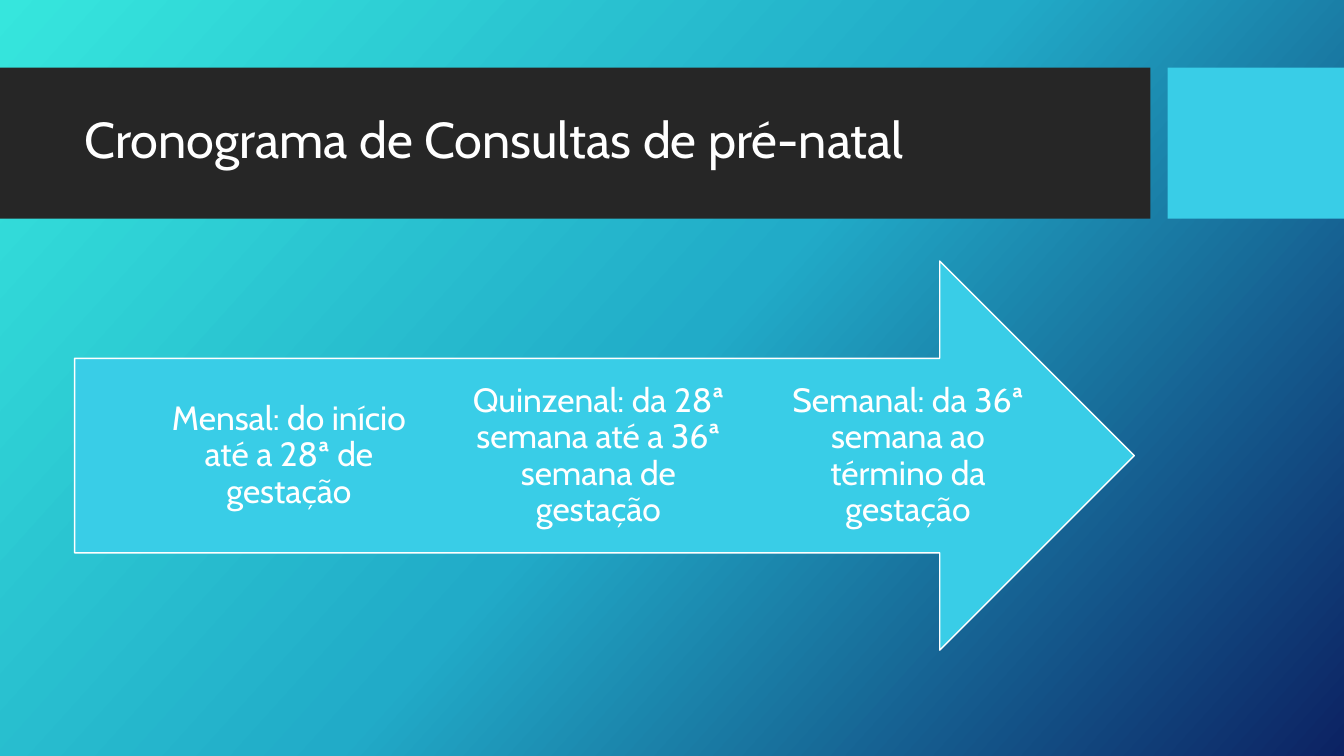
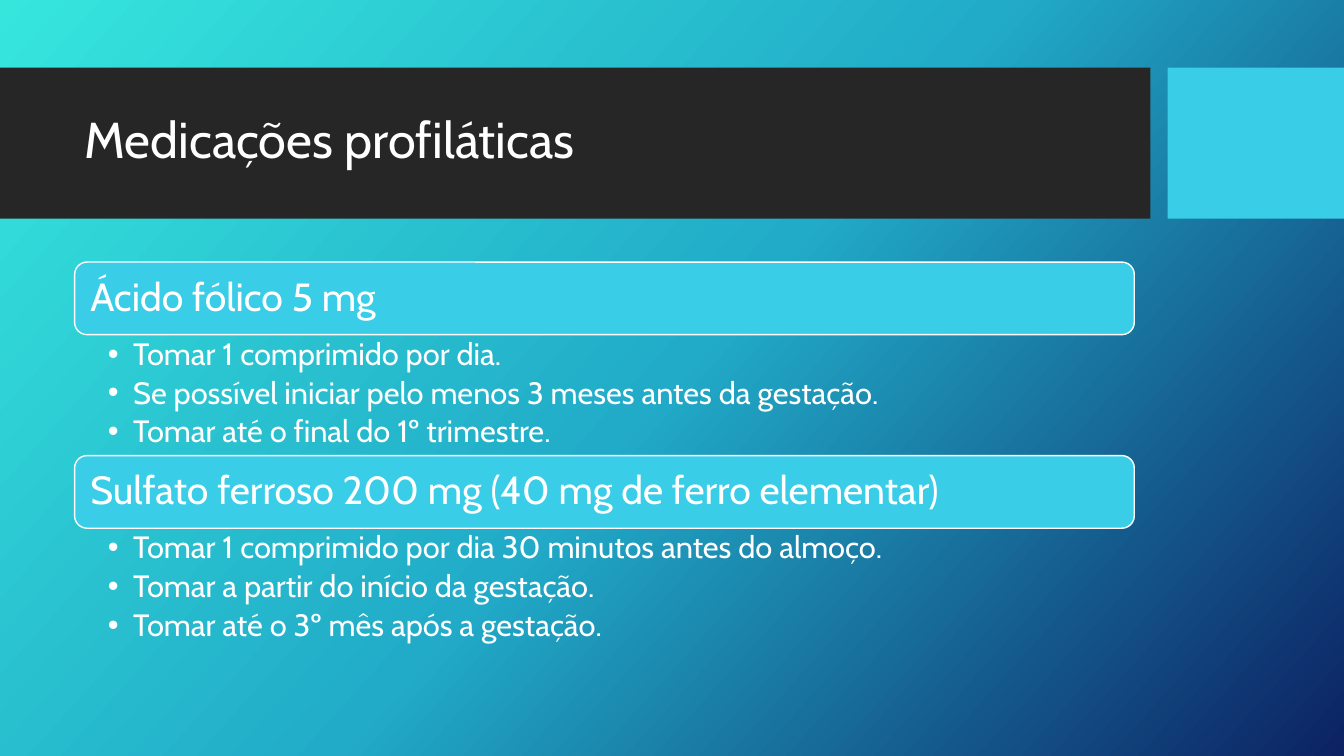
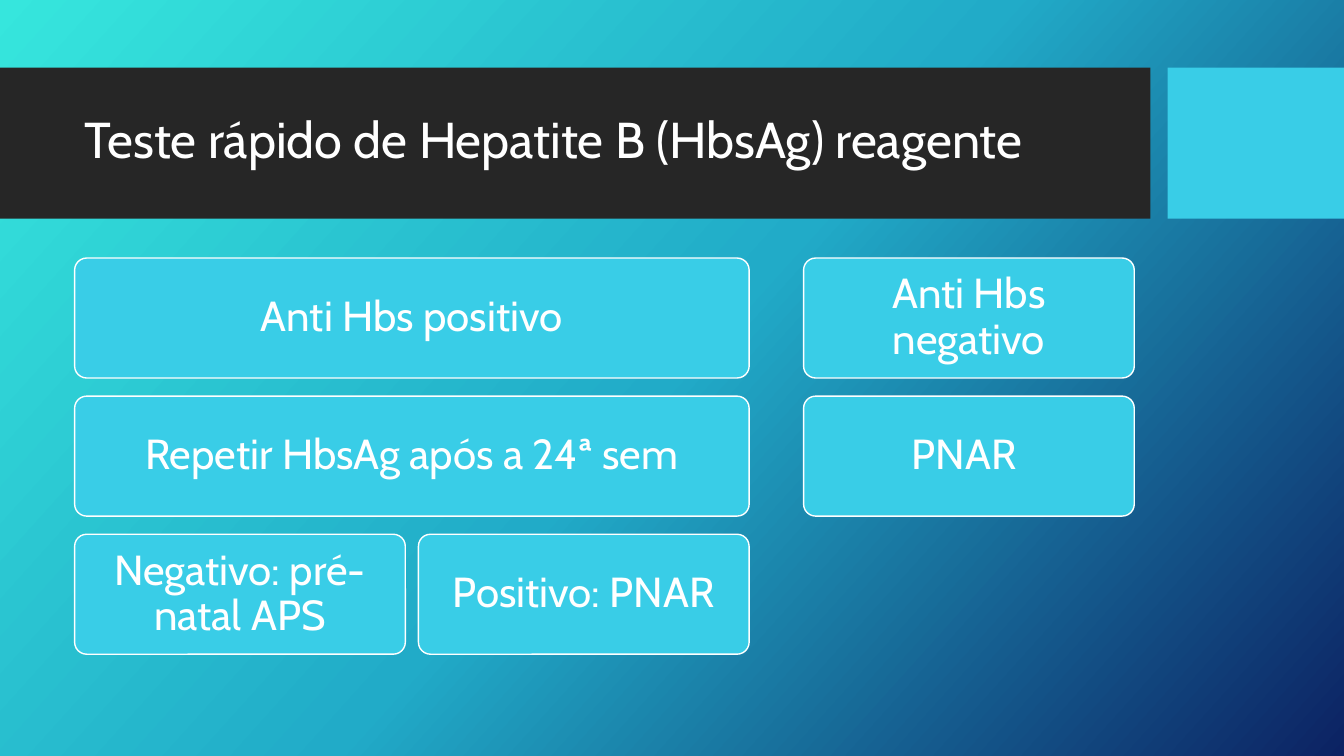
from lxml import etree
from pptx import Presentation
from pptx.dml.color import RGBColor
from pptx.enum.shapes import MSO_SHAPE
from pptx.enum.text import MSO_ANCHOR, PP_ALIGN
from pptx.oxml.ns import qn
from pptx.util import Inches, Pt

RECTANGLE = MSO_SHAPE.RECTANGLE
ROUNDED = MSO_SHAPE.ROUNDED_RECTANGLE
RIGHT_ARROW = MSO_SHAPE.RIGHT_ARROW
TOP, MIDDLE = MSO_ANCHOR.TOP, MSO_ANCHOR.MIDDLE
LEFT, CENTER = PP_ALIGN.LEFT, PP_ALIGN.CENTER

WHITE = RGBColor(0xFF, 0xFF, 0xFF)
CHARCOAL = RGBColor(0x26, 0x26, 0x26)
CYAN = RGBColor(0x39, 0xCD, 0xE7)
GRADIENT = (
    (0, RGBColor(0x36, 0xE6, 0xDD)),
    (50, RGBColor(0x21, 0xAB, 0xC8)),
    (100, RGBColor(0x0C, 0x22, 0x63)),
)
FONT = "Cabin"

MARGIN = 0.74
CONTENT_WIDTH = 10.51
BOX_INSETS = (0.12, 0.12, 0.12, 0.12)


class Deck:
    def __init__(self):
        self.presentation = Presentation()
        self.presentation.slide_width = Inches(13.33)
        self.presentation.slide_height = Inches(7.5)
        self.slide = None
        self.set_background()

    def set_background(self):
        """Give the master its diagonal gradient, which every slide inherits."""
        master = self.presentation.slide_master
        fill = master.background.fill
        fill.gradient()
        fill.gradient_angle = 360 - 42
        stops = master.element.find(".//" + qn("a:gsLst"))
        for stop in list(stops):
            stops.remove(stop)
        for percent, color in GRADIENT:
            stop = etree.SubElement(stops, qn("a:gs"), pos=str(percent * 1000))
            etree.SubElement(stop, qn("a:srgbClr"), val=str(color))

    def add_slide(self, title):
        blank = self.presentation.slide_layouts[6]
        self.slide = self.presentation.slides.add_slide(blank)
        self.shape(RECTANGLE, 0, 0.67, 11.41, 1.5, CHARCOAL)
        self.shape(RECTANGLE, 11.58, 0.67, 1.75, 1.5, CYAN)
        self.text_box(MARGIN, 0.82, CONTENT_WIDTH, 1.18, [title], 36)

    def shape(self, kind, left, top, width, height, fill, line=None):
        shape = self.slide.shapes.add_shape(
            kind, Inches(left), Inches(top), Inches(width), Inches(height))
        shape.shadow.inherit = False
        shape.fill.solid()
        shape.fill.fore_color.rgb = fill
        if line is None:
            shape.line.fill.background()
        else:
            shape.line.color.rgb = line
            shape.line.width = Pt(1)
        return shape

    def label_box(self, text, left, top, width, height, size,
                  align=CENTER, corner=0.1):
        box = self.shape(ROUNDED, left, top, width, height, CYAN, WHITE)
        box.adjustments[0] = corner
        self.fill_text(box.text_frame, [text], size, align, MIDDLE, BOX_INSETS)

    def text_box(self, left, top, width, height, lines, size, align=LEFT,
                 anchor=MIDDLE, insets=(0.1, 0.05, 0.1, 0.05), bullets=False):
        box = self.slide.shapes.add_textbox(
            Inches(left), Inches(top), Inches(width), Inches(height))
        self.fill_text(box.text_frame, lines, size, align, anchor, insets,
                       bullets)

    def fill_text(self, frame, lines, size, align, anchor, insets,
                  bullets=False):
        """Add one paragraph a line; insets go left, top, right, bottom."""
        frame.word_wrap = True
        frame.vertical_anchor = anchor
        (frame.margin_left, frame.margin_top,
         frame.margin_right, frame.margin_bottom) = map(Inches, insets)
        for index, line in enumerate(lines):
            paragraph = frame.add_paragraph() if index else frame.paragraphs[0]
            paragraph.alignment = align
            paragraph.line_spacing = 0.9
            if bullets:
                paragraph.space_after = Pt(4)
                self.add_bullet(paragraph)
            run = paragraph.add_run()
            run.text = line
            run.font.name = FONT
            run.font.size = Pt(size)
            run.font.color.rgb = WHITE

    def add_bullet(self, paragraph):
        properties = paragraph._p.get_or_add_pPr()
        properties.set("marL", str(Inches(0.25)))
        properties.set("indent", str(Inches(-0.25)))
        etree.SubElement(properties, qn("a:buFont"), typeface="Arial")
        etree.SubElement(properties, qn("a:buChar"), char="•")


def build_schedule(deck):
    deck.add_slide("Cronograma de Consultas de pré-natal")
    deck.shape(RIGHT_ARROW, MARGIN, 2.59, CONTENT_WIDTH, 3.86, CYAN, WHITE)
    stages = (
        "Mensal: do início até a 28ª de gestação",
        "Quinzenal: da 28ª semana até a 36ª semana de gestação",
        "Semanal: da 36ª semana ao término da gestação",
    )
    for column, stage in enumerate(stages):
        deck.text_box(1.59 + column * 3.07, 3.56, 2.55, 1.93, [stage], 24,
                      CENTER, insets=(0, 0.27, 0, 0.27))


def build_medications(deck):
    deck.add_slide("Medicações profiláticas")
    medications = (
        ("Ácido fólico 5 mg", (
            "Tomar 1 comprimido por dia.",
            "Se possível iniciar pelo menos 3 meses antes da gestação.",
            "Tomar até o final do 1º trimestre.",
        )),
        ("Sulfato ferroso 200 mg (40 mg de ferro elementar)", (
            "Tomar 1 comprimido por dia 30 minutos antes do almoço.",
            "Tomar a partir do início da gestação.",
            "Tomar até o 3º mês após a gestação.",
        )),
    )
    heading_height, list_height = 0.72, 1.2
    for row, (name, instructions) in enumerate(medications):
        top = 2.6 + row * (heading_height + list_height)
        deck.label_box(name, MARGIN, top, CONTENT_WIDTH, heading_height, 28,
                       LEFT, corner=0.17)
        deck.text_box(MARGIN, top + heading_height, CONTENT_WIDTH, list_height,
                      instructions, 22, anchor=TOP,
                      insets=(0.33, 0.04, 0.22, 0.04), bullets=True)


def build_hepatitis(deck):
    deck.add_slide("Teste rápido de Hepatite B (HbsAg) reagente")
    narrow, gap = 3.28, 0.13
    wide = 2 * narrow + gap
    second = MARGIN + narrow + gap
    third = MARGIN + CONTENT_WIDTH - narrow
    boxes = (
        ("Anti Hbs positivo", MARGIN, 0, wide),
        ("Repetir HbsAg após a 24ª sem", MARGIN, 1, wide),
        ("Negativo: pré-natal APS", MARGIN, 2, narrow),
        ("Positivo: PNAR", second, 2, narrow),
        ("Anti Hbs negativo", third, 0, narrow),
        ("PNAR ", third, 1, narrow),
    )
    for text, left, row, width in boxes:
        deck.label_box(text, left, 2.56 + row * 1.37, width, 1.19, 30)


def main():
    deck = Deck()
    build_schedule(deck)
    build_medications(deck)
    build_hepatitis(deck)
    deck.presentation.save("out.pptx")


if __name__ == "__main__":
    main()
